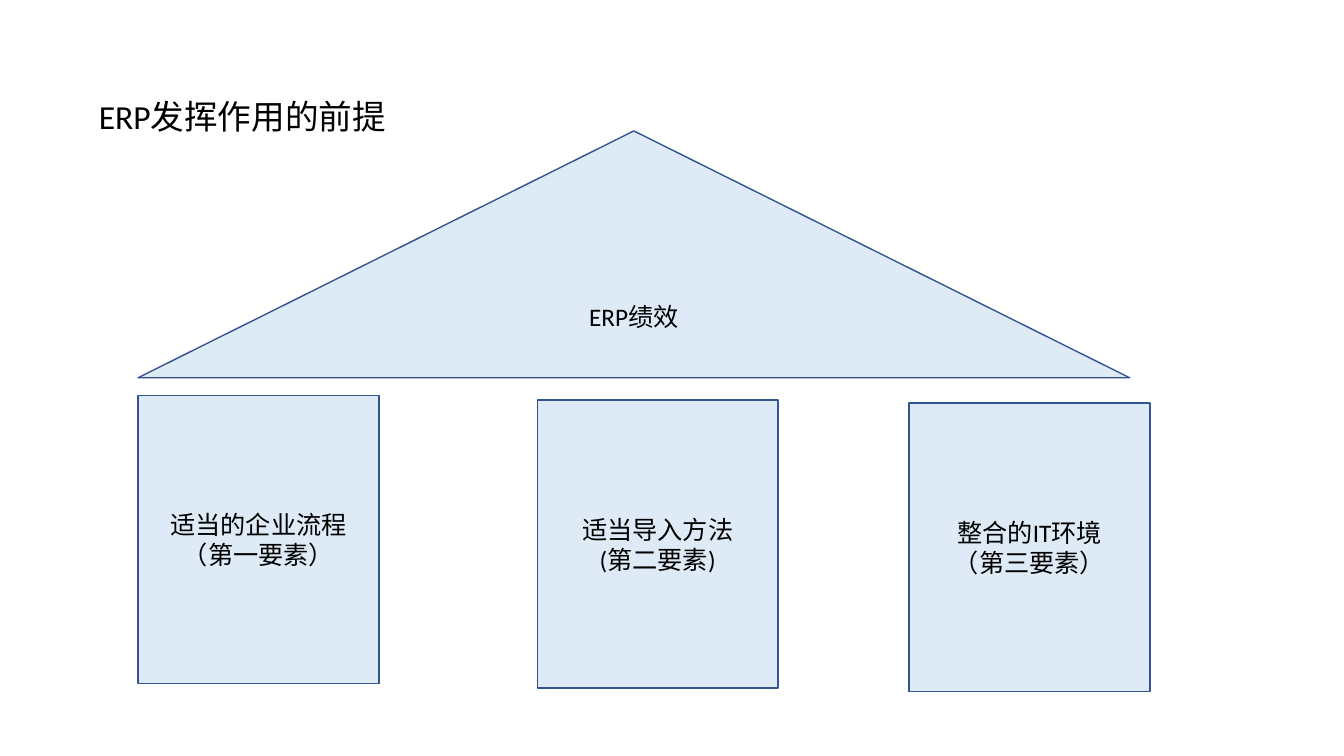
from pptx import Presentation
from pptx.dml.color import RGBColor
from pptx.enum.shapes import MSO_SHAPE as SHAPE
from pptx.enum.text import MSO_ANCHOR as ANCHOR, PP_ALIGN as ALIGN
from pptx.util import Cm, Pt

# Content
TITLE = "ERP发挥作用的前提"
ROOF = "ERP绩效"
PILLARS = [  # left, top (cm), lines
    (3.48, 9.96, ["适当的企业流程", "（第一要素）"]),
    (13.54, 10.08, ["适当导入方法", "(第二要素)"]),
    (22.91, 10.16, ["整合的IT环境", "（第三要素）"]),
]
PILLAR_W, PILLAR_H = 6.07, 7.26

# Style
FONT = "Calibri"
BLACK = RGBColor(0x00, 0x00, 0x00)
PALE_BLUE = RGBColor(0xDE, 0xEB, 0xF7)
DARK_BLUE = RGBColor(0x32, 0x54, 0x91)


def write(tf, lines, size=18, align=ALIGN.CENTER, anchor=ANCHOR.MIDDLE,
          line_spacing=None, before=None):
    tf.word_wrap = True
    tf.vertical_anchor = anchor
    for i, line in enumerate(lines):
        p = tf.add_paragraph() if i else tf.paragraphs[0]
        p.alignment = align
        p.line_spacing = line_spacing
        p.space_before = before
        r = p.add_run()
        r.text = line
        r.font.name = FONT
        r.font.size = Pt(size)
        r.font.color.rgb = BLACK


def add_block(s, kind, left, top, width, height, lines):
    sp = s.shapes.add_shape(kind, Cm(left), Cm(top), Cm(width), Cm(height))
    sp.shadow.inherit = False
    sp.fill.solid()
    sp.fill.fore_color.rgb = PALE_BLUE
    sp.line.color.rgb = DARK_BLUE
    sp.line.width = Pt(1)
    write(sp.text_frame, lines)


def main():
    prs = Presentation()
    prs.slide_width, prs.slide_height = Cm(33.87), Cm(19.05)
    s = prs.slides.add_slide(prs.slide_layouts[6])

    # Title
    box = s.shapes.add_textbox(Cm(2.24), Cm(2.41), Cm(29.59), Cm(14.58))
    write(box.text_frame, [TITLE], size=24, align=ALIGN.LEFT,
          anchor=ANCHOR.TOP, line_spacing=0.9, before=Pt(10))

    # Pillars and the roof they carry
    for left, top, lines in PILLARS:
        add_block(s, SHAPE.RECTANGLE, left, top, PILLAR_W, PILLAR_H, lines)
    add_block(s, SHAPE.ISOSCELES_TRIANGLE, PILLARS[0][0], 3.3, 24.99, 6.22, [ROOF])

    prs.save("out.pptx")


if __name__ == "__main__":
    main()
